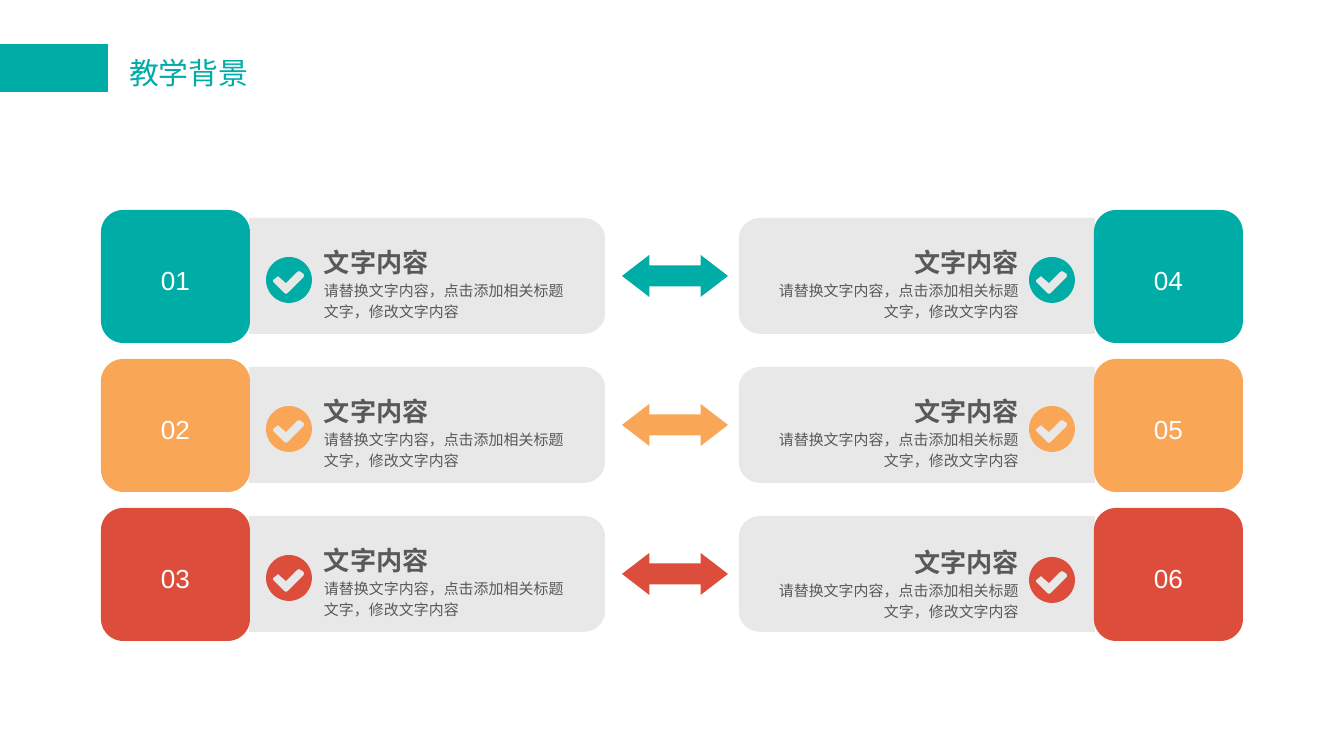
import math
from lxml import etree
from pptx import Presentation, util as u
from pptx.dml.color import RGBColor
from pptx.enum import shapes, text
from pptx.oxml.ns import qn

PX = 914400 / 134.4
WIDE, HIGH = 1344, 756
THEME = {
    "rows": ["00ACA6", "F9A656", "DD4D3B"],
    "panel": "E6E6E6", "ink": "595959", "light": "FFFFFF",
    "font": "Arial", "head": "Calibri",
    "title": 16, "large": 14, "small": 8,
}
KIND = shapes.MSO_SHAPE
ALIGN = text.PP_ALIGN
ANCHOR = text.MSO_ANCHOR
SIZE = text.MSO_AUTO_SIZE


def paint(shape, color):
    shape.shadow.inherit = False
    shape.fill.solid()
    shape.fill.fore_color.rgb = RGBColor.from_string(color)
    shape.line.fill.background()
    return shape


def write(shape, lines, color, font=THEME["font"], align=ALIGN.LEFT,
          anchor=ANCHOR.TOP, inset=(0, 0), wrap=True, space=1.0, before=0):
    frame = shape.text_frame
    frame.word_wrap = wrap
    frame.auto_size = SIZE.NONE if wrap else SIZE.SHAPE_TO_FIT_TEXT
    frame.vertical_anchor = anchor
    frame.margin_left = frame.margin_right = round(inset[0] * PX)
    frame.margin_top = frame.margin_bottom = round(inset[1] * PX)
    para = frame.paragraphs[0]
    para.alignment = align
    para.line_spacing = space
    para.space_before = u.Pt(before)
    for num, (words, size, bold) in enumerate(lines):
        if num:
            para.add_line_break()
            etree.SubElement(para._p[-1], qn("a:rPr"), sz=str(lines[num - 1][1] * 100))
        run = para.add_run()
        run.text = words
        run.font.size = u.Pt(size)
        run.font.bold = bold
        run.font.name = font
        run.font.color.rgb = RGBColor.from_string(color)


deck = Presentation()
deck.slide_width, deck.slide_height = round(WIDE * PX), round(HIGH * PX)
slide = deck.slides.add_slide(deck.slide_layouts[6])
parts = slide.shapes

bar = [round(n * PX) for n in (0, 44, 108, 48)]
paint(parts.add_shape(KIND.RECTANGLE, *bar), THEME["rows"][0])
area = [round(n * PX) for n in (119, 50, 144, 47)]
write(parts.add_textbox(*area), [("教学背景", THEME["title"], False)],
      THEME["rows"][0], font=THEME["head"], inset=(10, 5), wrap=False)

PITCH = 149
TICK = [(38, 17), (35, 15), (33, 14), (31, 15), (20, 26), (13, 20), (12, 19),
        (11, 20), (7, 23), (7, 25), (18, 36), (20, 37), (22, 36), (38, 20)]
LINES = [("文字内容", THEME["large"], True),
         ("请替换文字内容，点击添加相关标题文字，修改文字内容", THEME["small"], False)]
turns = [math.radians(n * 10) for n in range(36)]
bends = turns[:10]
panel = [(249, 0)]
panel += [(583 + 22 * math.sin(t), 20 - 20 * math.cos(t)) for t in bends]
panel += [(583 + 22 * math.cos(t), 96 + 20 * math.sin(t)) for t in bends]
panel += [(249, 116)]
disc = [(23 + 23 * math.cos(t), 23 + 23 * math.sin(t)) for t in turns]

for row, color in enumerate(THEME["rows"]):
    top = row * PITCH
    spot = [round(n * PX) for n in (622, 255 + top, 106, 42)]
    arrow = paint(parts.add_shape(KIND.LEFT_RIGHT_ARROW, *spot), color)
    arrow.adjustments[0], arrow.adjustments[1] = 0.5, 0.65

    for right in (False, True):
        nudge = 2 if right and row == 2 else 0
        edge = [(WIDE - x if right else x, y + 218 + top) for x, y in panel]
        left = 1029 if right else 266
        icon = [[(x + left, y + 257 + top + nudge) for x, y in ring]
                for ring in (disc, TICK)]
        for rings, tint in (([edge], THEME["panel"]), (icon, color)):
            path = None
            for ring in rings:
                points = [(x * PX, y * PX) for x, y in ring]
                if path is None:
                    path = parts.build_freeform(*points[0])
                else:
                    path.move_to(*points[0])
                path.add_line_segments(points[1:], close=True)
            form = paint(path.convert_to_shape(), tint)
            if tint == THEME["panel"]:
                shade = form.fill._xPr.find(".//" + qn("a:srgbClr"))
                etree.SubElement(shade, qn("a:alpha"), val="90000")

        area = [round(n * PX) for n in (772 if right else 324, 240 + top + nudge, 247, 101)]
        write(parts.add_textbox(*area), LINES, THEME["ink"], space=1.2, before=2.8,
              align=ALIGN.RIGHT if right else ALIGN.LEFT)

        spot = [round(n * PX) for n in (1094 if right else 101, 210 + top, 149, 133)]
        tile = paint(parts.add_shape(KIND.ROUNDED_RECTANGLE, *spot), color)
        label = f"{row + 1 + 3 * right:02d}"
        write(tile, [(label, THEME["large"], False)], THEME["light"], space=1.2,
              align=ALIGN.CENTER, anchor=ANCHOR.MIDDLE)

deck.save("out.pptx")
